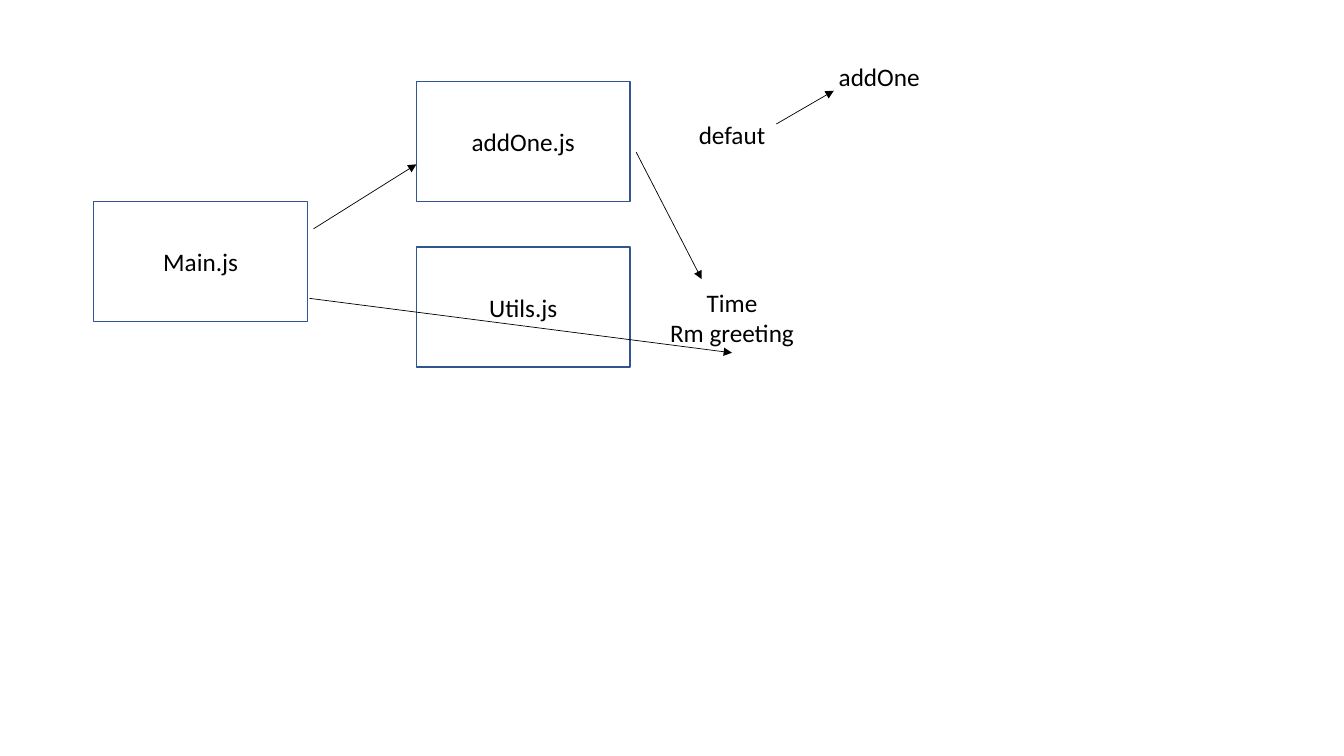
"""Build a slide showing how JavaScript modules import from each other."""
import pptx
import pptx.dml.color
import pptx.enum.shapes
import pptx.enum.text
import pptx.oxml
import pptx.oxml.ns
import pptx.util
from pptx.util import Inches

BLACK = pptx.dml.color.RGBColor(0x00, 0x00, 0x00)
BORDER_BLUE = pptx.dml.color.RGBColor(0x32, 0x54, 0x91)
DRAWING_NS = pptx.oxml.ns.nsdecls("a")


def write_centred(frame, text):
    frame.text = text
    frame.word_wrap = True
    for paragraph in frame.paragraphs:
        paragraph.alignment = pptx.enum.text.PP_ALIGN.CENTER
        for run in paragraph.runs:
            run.font.name = "Calibri"
            run.font.size = pptx.util.Pt(18)
            run.font.color.rgb = BLACK


def add_module(slide, name, left, top):
    module = slide.shapes.add_shape(
        pptx.enum.shapes.MSO_SHAPE.RECTANGLE,
        Inches(left), Inches(top), Inches(2.12), Inches(1.19))
    module.shadow.inherit = False
    module.fill.background()
    module.line.color.rgb = BORDER_BLUE
    module.line.width = pptx.util.Pt(1)
    write_centred(module.text_frame, name)
    module.text_frame.vertical_anchor = pptx.enum.text.MSO_ANCHOR.MIDDLE


def add_export(slide, names, left, top, height=0.4):
    export = slide.shapes.add_textbox(
        Inches(left), Inches(top), Inches(1.72), Inches(height))
    write_centred(export.text_frame, names)
    export.text_frame.auto_size = pptx.enum.text.MSO_AUTO_SIZE.SHAPE_TO_FIT_TEXT


def add_arrow(slide, start, end):
    arrow = slide.shapes.add_connector(
        pptx.enum.shapes.MSO_CONNECTOR.STRAIGHT,
        *(Inches(length) for length in (*start, *end)))
    arrow.line.color.rgb = BLACK
    arrow.line.width = pptx.util.Pt(0.5)
    arrow.line._get_or_add_ln().append(
        pptx.oxml.parse_xml(f'<a:tailEnd {DRAWING_NS} type="triangle"/>'))
    arrow._element.spPr.append(pptx.oxml.parse_xml(f"<a:effectLst {DRAWING_NS}/>"))


def main():
    presentation = pptx.Presentation()
    presentation.slide_width = Inches(13.33)
    presentation.slide_height = Inches(7.5)
    slide = presentation.slides.add_slide(presentation.slide_layouts[6])

    add_module(slide, "Main.js", 0.93, 2)
    add_module(slide, "Utils.js", 4.13, 2.45)
    add_module(slide, "addOne.js", 4.13, 0.81)

    add_export(slide, "Time\nRm greeting", 6.4, 2.8, height=0.71)
    add_export(slide, "defaut", 6.4, 1.13)

    add_arrow(slide, (3.07, 2.96), (7.26, 3.5))
    add_arrow(slide, (3.11, 2.27), (4.13, 1.63))
    add_arrow(slide, (6.31, 1.51), (6.96, 2.77))
    add_arrow(slide, (7.7, 1.23), (8.27, 0.9))

    add_export(slide, "addOne", 7.86, 0.56)

    presentation.save("out.pptx")


if __name__ == "__main__":
    main()
